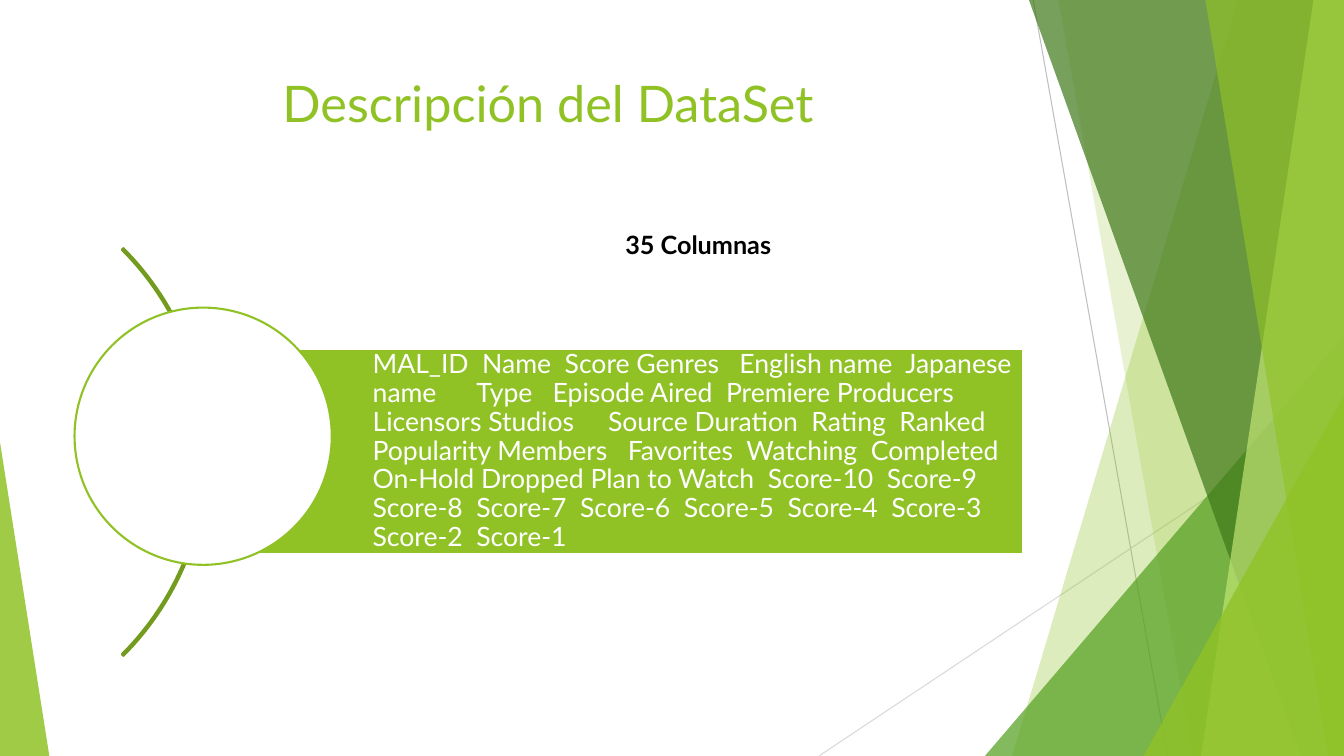
import pptx
import pptx.dml.color
import pptx.enum.shapes
import pptx.enum.text
import pptx.oxml
import pptx.oxml.ns
import pptx.util

WIDTH, HEIGHT = 1280, 720
GREEN, DARK_GREEN, WHITE = "90C226", "739B1E", "FFFFFF"
SHAPES = pptx.enum.shapes.MSO_SHAPE
ALIGN = pptx.enum.text.PP_ALIGN
ANCHOR = pptx.enum.text.MSO_ANCHOR

COLUMN_NAMES = (
    "MAL_ID  Name  Score Genres   English name  Japanese name      Type   "
    "Episode Aired  Premiere Producers Licensors Studios     Source Duration  "
    "Rating  Ranked  Popularity Members   Favorites  Watching  Completed "
    "On-Hold Dropped Plan to Watch  Score-10  Score-9  Score-8  Score-7  "
    "Score-6  Score-5  Score-4  Score-3  Score-2  Score-1"
)


def px(length):
    return pptx.util.Emu(length * 9525)


def color(hex_string):
    return pptx.dml.color.RGBColor.from_string(hex_string)


class SlideBuilder:
    font = "Lato"

    def __init__(self, slide):
        self.shapes = slide.shapes

    def style(self, shape, fill=None, line=None, opacity=100):
        shape.shadow.inherit = False
        if fill:
            shape.fill.solid()
            shape.fill.fore_color.rgb = color(fill)
            if opacity < 100:
                rgb = shape.element.spPr.find(".//" + pptx.oxml.ns.qn("a:srgbClr"))
                rgb.append(pptx.oxml.parse_xml(
                    f'<a:alpha {pptx.oxml.ns.nsdecls("a")} val="{opacity * 1000}"/>'))
        else:
            shape.fill.background()
        if line:
            shape.line.color.rgb = color(line)
            shape.line.width = pptx.util.Pt(1.5)
        else:
            shape.line.fill.background()

    def line(self, start, end, line_color):
        connector = self.shapes.add_connector(
            pptx.enum.shapes.MSO_CONNECTOR.STRAIGHT, *map(px, start + end))
        connector.line.color.rgb = color(line_color)
        connector.line.width = pptx.util.Pt(0.75)
        effects = pptx.oxml.parse_xml(f'<a:effectLst {pptx.oxml.ns.nsdecls("a")}/>')
        connector.element.spPr.append(effects)

    def shape(self, kind, box, fill=None, line=None, opacity=100, adjustments=()):
        shape = self.shapes.add_shape(kind, *map(px, box))
        for index, value in enumerate(adjustments):
            shape.adjustments[index] = value
        self.style(shape, fill, line, opacity)
        return shape

    def facet(self, top, bottom, fill, opacity):
        """Full-height panel from a slanted left edge to the right slide edge."""
        outline = self.shapes.build_freeform(top, 0, scale=px(1))
        outline.add_line_segments([(WIDTH, 0), (WIDTH, HEIGHT), (bottom, HEIGHT)])
        self.style(outline.convert_to_shape(), fill, opacity=opacity)

    def triangle(self, left, top, width, peak, fill, opacity):
        """Right triangle standing on the bottom edge of the slide."""
        self.shape(SHAPES.ISOSCELES_TRIANGLE, (left, top, width, HEIGHT - top),
                   fill, opacity=opacity, adjustments=[peak])

    def fill_text(self, shape, text, size, text_color, bold=False, align=ALIGN.CENTER,
                  anchor=ANCHOR.TOP, margins=(10, 5, 10, 5), spacing=1.0):
        frame = shape.text_frame
        frame.word_wrap = True
        frame.vertical_anchor = anchor
        (frame.margin_left, frame.margin_top,
         frame.margin_right, frame.margin_bottom) = map(px, margins)
        paragraph = frame.paragraphs[0]
        paragraph.alignment = align
        paragraph.line_spacing = spacing
        run = paragraph.add_run()
        run.text = text
        run.font.name = self.font
        run.font.size = pptx.util.Pt(size)
        run.font.bold = bold
        run.font.color.rgb = color(text_color)

    def text(self, box, text, size, text_color, bold=False):
        text_box = self.shapes.add_textbox(*map(px, box))
        self.fill_text(text_box, text, size, text_color, bold)


def main():
    presentation = pptx.Presentation()
    presentation.slide_width, presentation.slide_height = px(WIDTH), px(HEIGHT)
    builder = SlideBuilder(presentation.slides.add_slide(presentation.slide_layouts[6]))

    # Faceted background, from back to front
    builder.line((984, 0), (1112, HEIGHT), "BFBFBF")
    builder.line((WIDTH, 387), (780, HEIGHT), "D9D9D9")
    builder.facet(1179, 964, GREEN, 30)
    builder.facet(1008, 1136, GREEN, 20)
    builder.triangle(938, 320, 342, 1, "54A021", 72)
    builder.facet(980, 1239, "3F7819", 70)
    builder.facet(1251, 1144, "C0E474", 70)
    builder.facet(1148, 1265, GREEN, 65)
    builder.triangle(1089, 377, 191, 1, GREEN, 80)
    builder.triangle(0, 421, 47, 0, GREEN, 85)

    # Title
    builder.text((71, 64, 902, 138), "Descripción del DataSet", 36, GREEN)

    # Arc, column list and circle
    builder.shape(SHAPES.BLOCK_ARC, (-351, 156, 549, 549), line=DARK_GREEN,
                  adjustments=[189, 27, 0.004])
    column_list = builder.shape(SHAPES.RECTANGLE, (194, 332, 780, 196), GREEN, WHITE)
    builder.fill_text(column_list, COLUMN_NAMES, 19, WHITE, align=ALIGN.LEFT,
                      anchor=ANCHOR.MIDDLE, margins=(161, 5, 5, 5), spacing=0.9)
    builder.shape(SHAPES.OVAL, (71, 293, 245, 245), WHITE, GREEN)

    # Column count
    builder.text((486, 213, 358, 38), "35 Columnas", 18, "000000", bold=True)

    presentation.save("out.pptx")


if __name__ == "__main__":
    main()
